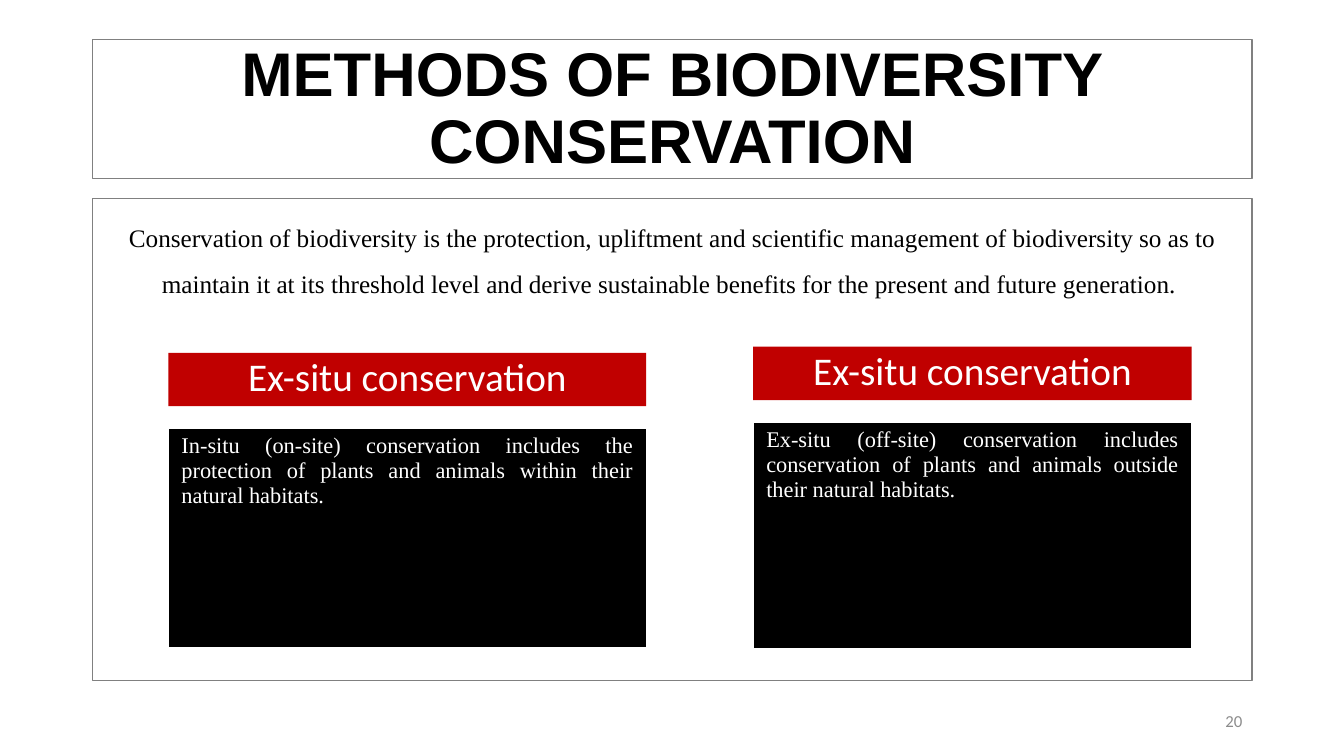
from lxml import etree
from pptx import Presentation
from pptx.dml.color import RGBColor
from pptx.enum import shapes, text
from pptx.oxml.ns import qn
from pptx.util import Inches, Pt

ALIGN = text.PP_ALIGN
RECT = shapes.MSO_SHAPE.RECTANGLE


def color(hex_code):
    return RGBColor.from_string(hex_code)


def write(frame, words, font, size, hex_code, align, spacing=1.0, before=0, bold=False):
    """Fill a text frame with one formatted paragraph."""
    frame.word_wrap = True
    frame.text = words
    paragraph = frame.paragraphs[0]
    paragraph.alignment = align
    paragraph.line_spacing = spacing
    paragraph.space_before = Pt(before)
    style = paragraph.runs[0].font
    style.name, style.size, style.bold = font, Pt(size), bold
    style.color.rgb = color(hex_code)


deck = Presentation()
deck.slide_width, deck.slide_height = Inches(13.33), Inches(7.5)
slide = deck.slides.add_slide(deck.slide_layouts[1])

# Title and definition
title, definition = slide.placeholders
for holder, top, height in ((title, 0.39, 1.4), (definition, 2.01, 4.76)):
    holder.left, holder.top = Inches(0.92), Inches(top)
    holder.width, holder.height = Inches(11.5), Inches(height)
    holder.text_frame.auto_size = text.MSO_AUTO_SIZE.NONE

title.text_frame.vertical_anchor = text.MSO_ANCHOR.MIDDLE
write(title.text_frame, "METHODS OF BIODIVERSITY CONSERVATION",
      "Arial", 44, "000000", ALIGN.CENTER, spacing=0.9, bold=True)
write(definition.text_frame,
      "Conservation of biodiversity is the protection, upliftment and scientific "
      "management of biodiversity so as to maintain it at its threshold level and "
      "derive sustainable benefits for the present and future generation. ",
      "Times New Roman", 18, "000000", ALIGN.CENTER, spacing=1.5, before=10)
definition_props = definition.text_frame.paragraphs[0]._p.get_or_add_pPr()
definition_props.set("marL", "0")
definition_props.set("indent", "0")
etree.SubElement(definition_props, qn("a:buNone"))

# Slide number
number = slide.shapes.add_textbox(Inches(9.42), Inches(6.95), Inches(3), Inches(0.4))
number.text_frame.vertical_anchor = text.MSO_ANCHOR.MIDDLE
write(number.text_frame, "20", "Calibri", 12, "8C8C8C", ALIGN.RIGHT)

# Outlines around the definition and the title
for top, height in ((1.97, 4.78), (0.39, 1.38)):
    outline = slide.shapes.add_shape(RECT, Inches(0.92), Inches(top), Inches(11.5), Inches(height))
    outline.shadow.inherit = False
    outline.fill.background()
    outline.line.color.rgb = color("808080")
    outline.line.width = Pt(1)

# The two methods: a red heading above a black one-cell table
methods = (
    (1.67, 3.5, 4.74, 2.19,
     "In-situ (on-site) conservation includes the protection of plants and animals "
     "within their natural habitats."),
    (7.47, 3.44, 4.35, 2.26,
     "Ex-situ (off-site) conservation includes conservation of plants and animals "
     "outside their natural habitats."),
)
for left, top, width, height, explanation in methods:
    heading = slide.shapes.add_shape(RECT, Inches(left), Inches(top), Inches(width), Inches(0.53))
    heading.shadow.inherit = False
    heading.fill.solid()
    heading.fill.fore_color.rgb = color("C00000")
    heading.line.fill.background()
    heading.text_frame.vertical_anchor = text.MSO_ANCHOR.TOP
    write(heading.text_frame, "Ex-situ conservation", "Calibri", 28, "FFFFFF",
          ALIGN.CENTER, spacing=0.9, before=10)

    table = slide.shapes.add_table(1, 1, Inches(left), Inches(top + 0.75),
                                   Inches(width), Inches(height)).table
    table.first_row = table.horz_banding = False
    cell = table.cell(0, 0)
    cell.margin_left = cell.margin_right = Inches(0.13)
    cell.margin_top = cell.margin_bottom = Inches(0.05)
    write(cell.text_frame, explanation, "Times New Roman", 16, "FFFFFF", ALIGN.JUSTIFY)
    cell_props = cell._tc.get_or_add_tcPr()
    for side, points in (("L", 1), ("R", 1), ("T", 1), ("B", 3)):
        border = etree.SubElement(cell_props, qn(f"a:ln{side}"), w=str(Pt(points)))
        border_fill = etree.SubElement(border, qn("a:solidFill"))
        etree.SubElement(border_fill, qn("a:srgbClr"), val="FFFFFF")
    cell.fill.solid()
    cell.fill.fore_color.rgb = color("000000")

deck.save("out.pptx")
